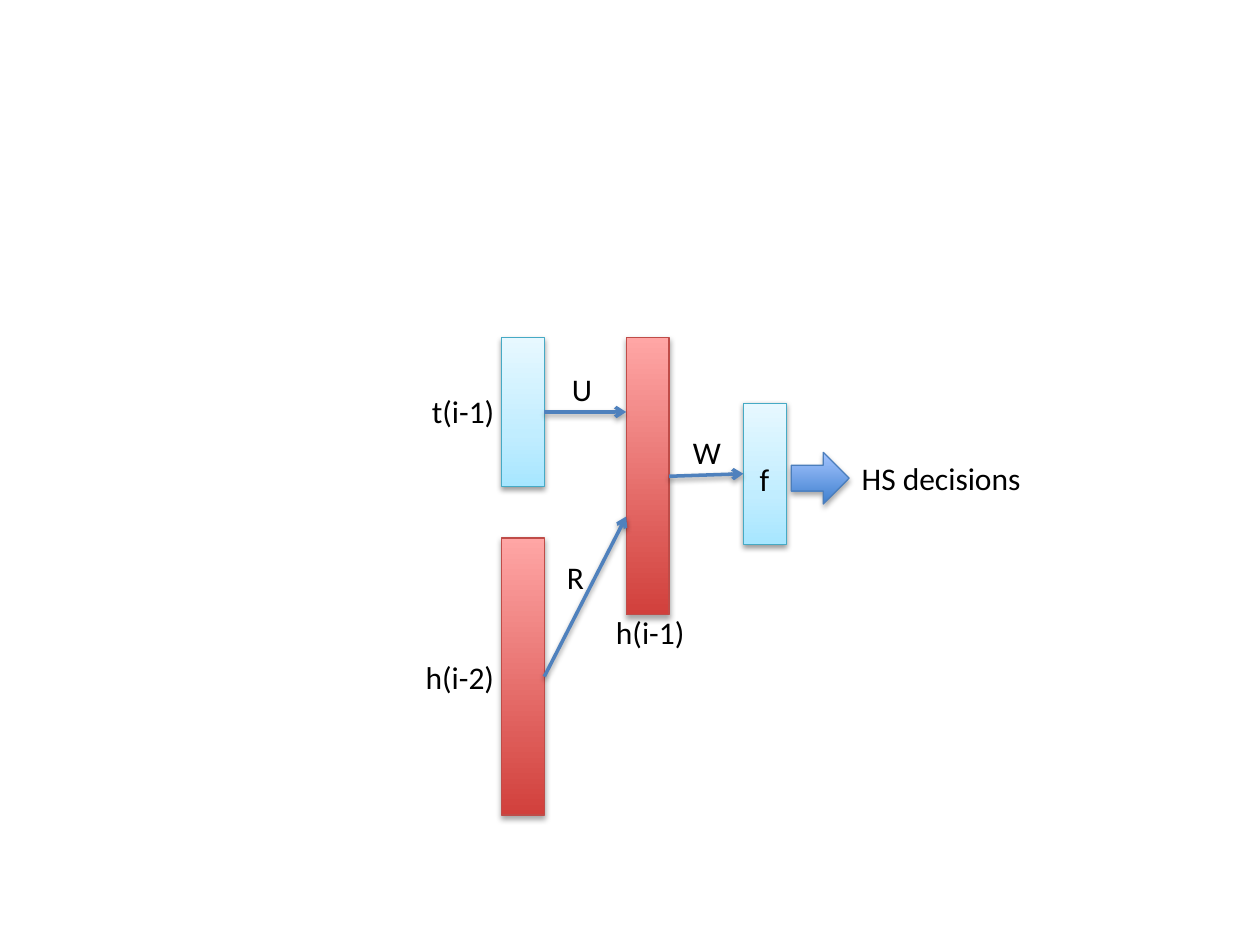
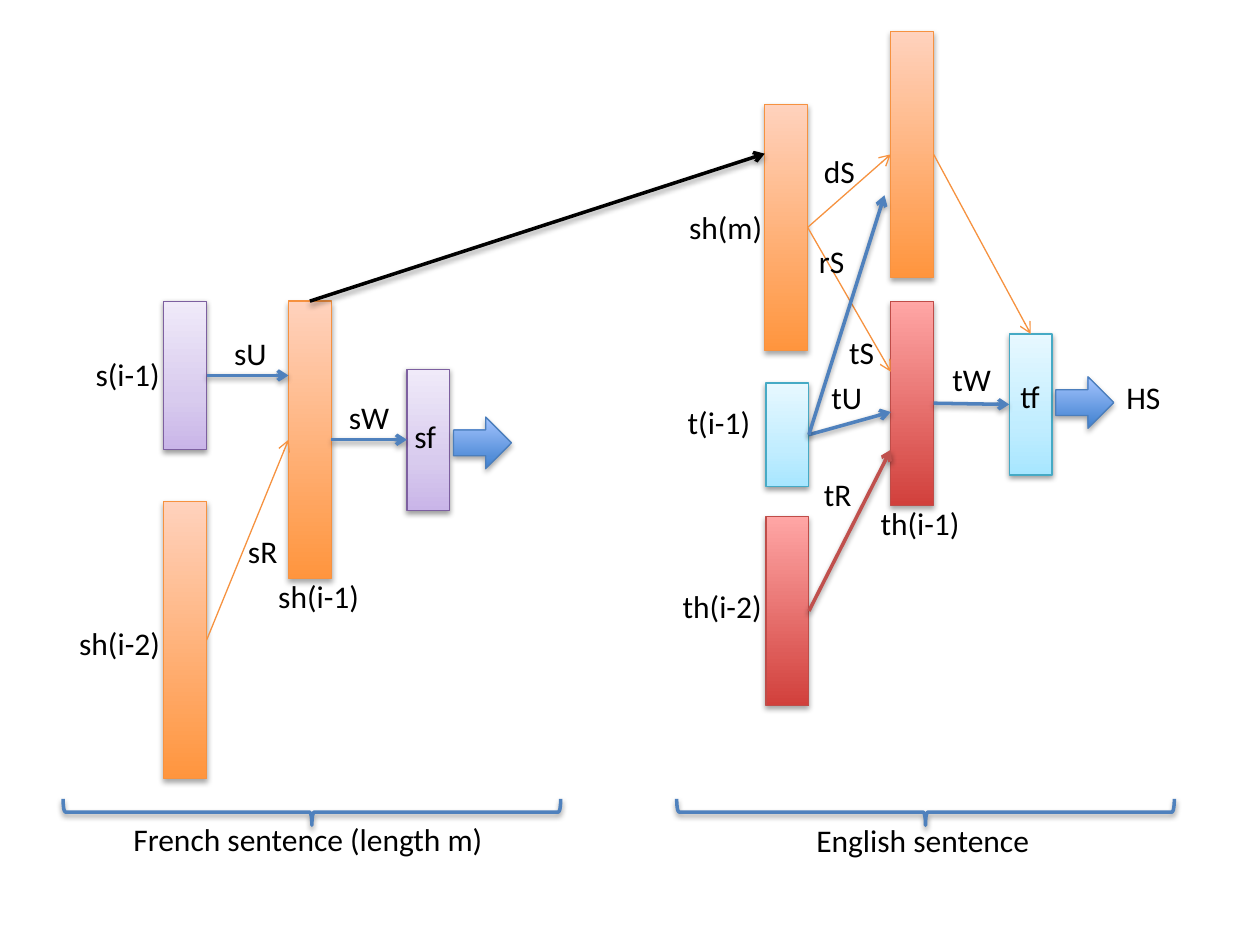
from lxml.etree import SubElement as Sub
from pptx import Presentation
from pptx.dml.color import RGBColor as RGB
from pptx.enum.shapes import MSO_CONNECTOR as LINK, MSO_SHAPE as FORM
from pptx.enum.text import MSO_AUTO_SIZE as FIT
from pptx.oxml.ns import qn
from pptx.util import Inches, Pt

HEX = {"blue": "4F81BD", "red": "C0504D", "orange": "F69240", "black": "000000"}

# Box styles: edge colour, gradient stops from the bottom up, shadow (opacity, distance)
SOFT, DEEP = (38, 20000), (35, 23000)
STYLE = {
    "sky": ("46AAC5", {0: "A7E6FF", 35: "C1EDFF", 100: "E7F8FF"}, SOFT),
    "violet": ("7D60A0", {0: "C9B5E8", 35: "D8CBEE", 100: "F0EAF9"}, SOFT),
    "rose": ("BF4C48", {0: "D1403C", 100: "FFA6A5"}, DEEP),
    "amber": ("F69240", {0: "FF953E", 100: "FFD2BD"}, DEEP),
    "azure": ("4B7EBC", {0: "3F80CE", 100: "A4C4FF"}, DEEP),
}
BAR, TEXT_H = 0.34, 0.4
TOP, LEFT, RIGHT = 0, 1, 3

# Bars: name -> style, left, top, height
# Links: start, end, colour; an end is (bar, side) or a point
# Labels: text, left, top, width
SLIDES = [
    {
        "bars": {
            "t": ("sky", 3.98, 2.68, 1.18),
            "f": ("sky", 5.9, 3.2, 1.12),
            "h1": ("rose", 4.97, 2.68, 2.2),
            "h2": ("rose", 3.98, 4.27, 2.2),
        },
        "links": [
            (("h1", RIGHT), ("f", LEFT), "blue"),
            (("t", RIGHT), (4.97, 3.27), "blue"),
            (("h2", RIGHT), (4.97, 4.1), "blue"),
        ],
        "arrows": [(6.28, 3.59)],
        "braces": [],
        "labels": [
            ("U", 4.44, 2.89, 0.36), ("W", 5.4, 3.39, 0.43),
            ("R", 4.4, 4.38, 0.34), ("h(i-1)", 4.79, 4.82, 0.75),
            ("HS decisions", 6.74, 3.59, 1.48), ("f", 5.93, 3.6, 0.29),
            ("t(i-1)", 3.33, 3.06, 0.7), ("h(i-2)", 3.28, 5.17, 0.75),
        ],
    },
    {
        "bars": {
            "s": ("violet", 1.3, 2.39, 1.18),
            "sf": ("violet", 3.23, 2.93, 1.12),
            "sh1": ("amber", 2.29, 2.39, 2.2),
            "sh2": ("amber", 1.3, 3.98, 2.2),
            "t": ("sky", 6.08, 3.04, 0.82),
            "tf": ("sky", 8.01, 2.65, 1.12),
            "th1": ("rose", 7.07, 2.39, 1.62),
            "th2": ("rose", 6.08, 4.1, 1.5),
            "shm": ("amber", 6.07, 0.83, 1.95),
            "ds": ("amber", 7.07, 0.25, 1.95),
        },
        "links": [
            (("s", RIGHT), (2.29, 2.98), "blue"),
            (("sh2", RIGHT), ("sh1", LEFT), "orange"),
            (("sh1", RIGHT), ("sf", LEFT), "blue"),
            (("t", RIGHT), (7.07, 3.27), "blue"),
            (("th2", RIGHT), (7.07, 3.57), "red"),
            (("th1", RIGHT), ("tf", LEFT), "blue"),
            (("shm", RIGHT), (7.07, 2.95), "orange"),
            (("sh1", TOP), (6.07, 1.22), "black"),
            (("shm", RIGHT), ("ds", LEFT), "orange"),
            (("t", RIGHT), (7.02, 1.55), "blue"),
            (("ds", RIGHT), ("tf", TOP), "orange"),
        ],
        "arrows": [(3.6, 3.31), (8.38, 2.99)],
        "braces": [(2.37, 4.47), (7.24, 4.47)],
        "labels": [
            ("sU", 1.76, 2.6, 0.46), ("sW", 2.67, 3.11, 0.53),
            ("sR", 1.87, 4.17, 0.44), ("sh(i-1)", 2.11, 4.53, 0.85),
            ("sf", 3.19, 3.26, 0.38), ("s(i-1)", 0.66, 2.77, 0.72),
            ("sh(i-2)", 0.53, 4.9, 0.85), ("tU", 6.5, 2.95, 0.45),
            ("tW", 7.46, 2.81, 0.51), ("tR", 6.44, 3.72, 0.43),
            ("th(i-1)", 6.89, 3.95, 0.84), ("HS", 8.84, 2.95, 0.48),
            ("tf", 8, 2.94, 0.37), ("t(i-1)", 5.36, 3.15, 0.7),
            ("th(i-2)", 5.32, 4.61, 0.84), ("sh(m)", 5.37, 1.6, 0.79),
            ("tS", 6.64, 2.59, 0.4), ("rS", 6.4, 1.87, 0.41),
            ("dS", 6.44, 1.16, 0.45),
            ("French sentence (length m)", 0.96, 6.46, 3.01),
            ("English sentence", 6.38, 6.47, 1.91),
        ],
    },
]


def trim(item, color, width, shade=None):
    """Set the outline and, if asked for, the soft shadow below."""
    item.line.color.rgb = RGB.from_string(color)
    item.line.width = Pt(width)
    glow = Sub(item.element.spPr, qn("a:effectLst"))
    if shade:
        alpha, dist = shade
        drop = Sub(glow, qn("a:outerShdw"), blurRad="40000", dist=str(dist),
                   dir="5400000", rotWithShape="0")
        tone = Sub(drop, qn("a:srgbClr"), val=HEX["black"])
        Sub(tone, qn("a:alpha"), val=str(alpha * 1000))


def block(slide, form, look, *place):
    """Add a shape with one of the gradient styles."""
    item = slide.shapes.add_shape(form, *map(Inches, place))
    edge, stops, shade = STYLE[look]
    grad = Sub(item.element.spPr, qn("a:gradFill"), rotWithShape="1")
    row = Sub(grad, qn("a:gsLst"))
    for pos, tone in stops.items():
        stop = Sub(row, qn("a:gs"), pos=str(pos * 1000))
        Sub(stop, qn("a:srgbClr"), val=tone)
    Sub(grad, qn("a:lin"), ang="16200000", scaled="0")
    trim(item, edge, 0.75, shade)
    return item


deck = Presentation()
deck.slide_width, deck.slide_height = Inches(10), Inches(7.5)

for plan in SLIDES:
    slide = deck.slides.add_slide(deck.slide_layouts[6])

    # Layer bars
    bars = {}
    for name, (look, left, top, high) in plan["bars"].items():
        bars[name] = block(slide, FORM.RECTANGLE, look, left, top, BAR, high)

    # Block arrows to the outputs
    for left, top in plan["arrows"]:
        block(slide, FORM.RIGHT_ARROW, "azure", left, top, 0.46, 0.41)

    # Links between layers
    for start, end, color in plan["links"]:
        link = slide.shapes.add_connector(LINK.STRAIGHT, 0, 0, 0, 0)
        name, side = start
        link.begin_connect(bars[name], side)
        if end[0] in bars:
            link.end_connect(bars[end[0]], end[1])
        else:
            link.end_x, link.end_y = map(Inches, end)
        thin = color == "orange"
        trim(link, HEX[color], 0.75 if thin else 2, None if thin else SOFT)
        Sub(link.element.spPr.find(qn("a:ln")), qn("a:tailEnd"), type="arrow")

    # Braces under the sentences
    for left, top in plan["braces"]:
        brace = slide.shapes.add_shape(
            FORM.RIGHT_BRACE, *map(Inches, (left, top, 0.21, 3.95)))
        brace.rotation = 90
        brace.fill.background()
        trim(brace, HEX["blue"], 2, SOFT)

    # Labels
    for text, left, top, wide in plan["labels"]:
        label = slide.shapes.add_textbox(*map(Inches, (left, top, wide, TEXT_H)))
        frame = label.text_frame
        frame.word_wrap = False
        frame.auto_size = FIT.SHAPE_TO_FIT_TEXT
        run = frame.paragraphs[0].add_run()
        run.text = text
        run.font.name, run.font.size = "Calibri", Pt(18)
        run.font.color.rgb = RGB.from_string(HEX["black"])

deck.save("out.pptx")
